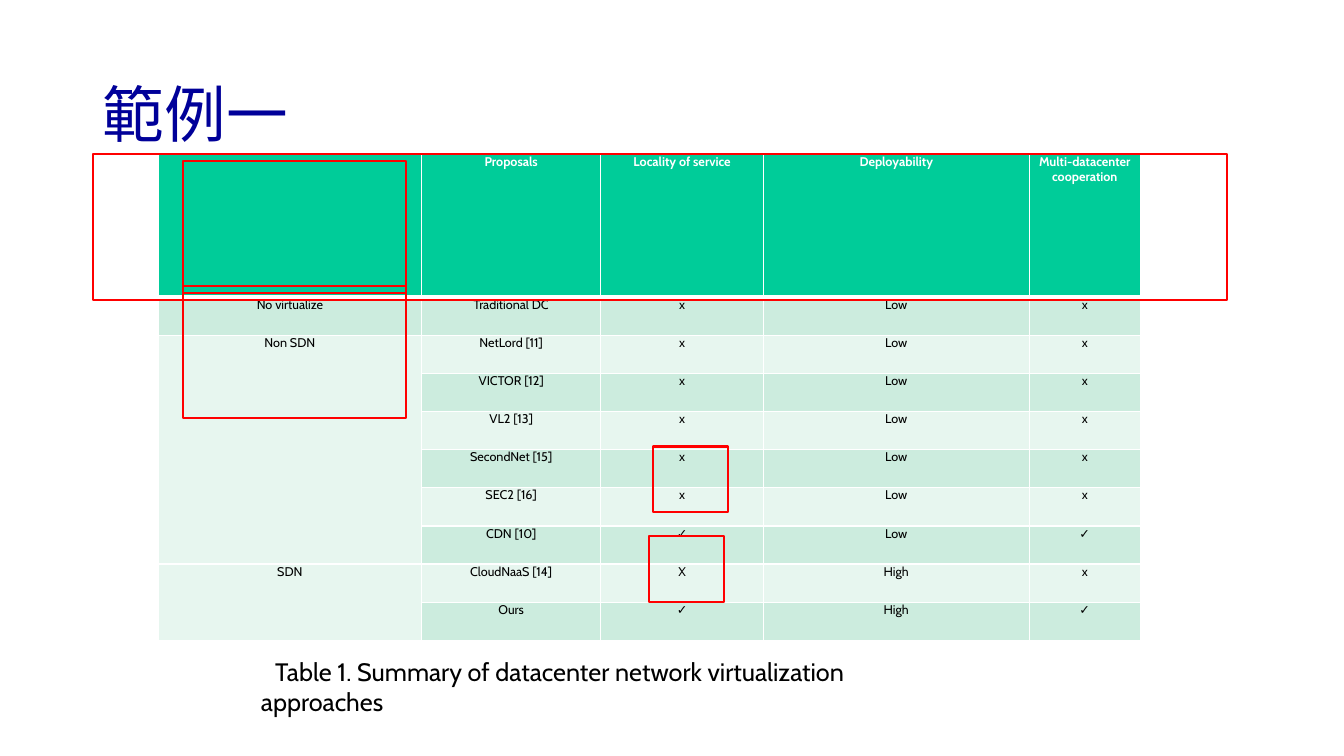
import pptx
import pptx.dml.color
import pptx.enum.shapes
import pptx.enum.text
import pptx.oxml
import pptx.oxml.ns
import pptx.util

RGBColor = pptx.dml.color.RGBColor
Align = pptx.enum.text.PP_ALIGN
Anchor = pptx.enum.text.MSO_ANCHOR

WHITE = RGBColor(0xFF, 0xFF, 0xFF)
BLACK = RGBColor(0x00, 0x00, 0x00)
NAVY = RGBColor(0x00, 0x00, 0x99)
RED = RGBColor(0xFF, 0x00, 0x00)
HEADER_GREEN = RGBColor(0x00, 0xCC, 0x99)
BAND_DARK = RGBColor(0xCC, 0xEC, 0xDE)
BAND_LIGHT = RGBColor(0xE7, 0xF6, 0xEF)

HEADINGS = ["", "Proposals", "Locality of service", "Deployability",
            "Multi-datacenter cooperation"]
PROPOSALS = [
    ("No virtualize", "Traditional DC", "x", "Low", "x"),
    ("Non SDN", "NetLord [11]", "x", "Low", "x"),
    ("", "VICTOR [12]", "x", "Low", "x"),
    ("", "VL2 [13]", "x", "Low", "x"),
    ("", "SecondNet [15]", "x", "Low", "x"),
    ("", "SEC2 [16]", "x", "Low", "x"),
    ("", "CDN [10]", "✓", "Low", "✓"),
    ("SDN", "CloudNaaS [14]", "X", "High", "x"),
    ("", "Ours", "✓", "High", "✓"),
]
GROUP_ROWS = [(2, 7), (8, 9)]
COLUMN_WIDTHS = [19.58, 13.35, 12.08, 19.8, 8.25]
HEADER_HEIGHT, ROW_HEIGHT = 18.93, 5.04

HIGHLIGHTS = [
    (6.9, 20.4, 84.4, 19.33),
    (48.31, 70.93, 5.55, 8.67),
    (48.61, 59.07, 5.55, 8.67),
    (13.65, 21.33, 16.58, 17.47),
    (13.65, 37.87, 16.58, 17.47),
]


class SlideBuilder:
    """Places elements on one slide; lengths are percentages of its size."""

    title_font = "Times New Roman"
    body_font = "Cabin"

    def __init__(self, deck):
        self.deck = deck
        self.page = deck.slides.add_slide(deck.slide_layouts[5])

    def across(self, share):
        return round(self.deck.slide_width * share / 100)

    def down(self, share):
        return round(self.deck.slide_height * share / 100)

    def area(self, left, top, width, height):
        return (self.across(left), self.down(top),
                self.across(width), self.down(height))

    def set_text(self, para, text, size, color, font, align=Align.LEFT, bold=False):
        para.text = text
        para.alignment = align
        para.font.size = pptx.util.Pt(size)
        para.font.name = font
        para.font.bold = bold
        para.font.color.rgb = color

    def title(self, text, *place):
        box = self.page.shapes.title
        box.left, box.top, box.width, box.height = self.area(*place)
        box.text_frame.vertical_anchor = Anchor.MIDDLE
        self.set_text(box.text_frame.paragraphs[0], text, 44, NAVY, self.title_font)

    def caption(self, text, *place):
        frame = self.page.shapes.add_textbox(*self.area(*place)).text_frame
        frame.word_wrap = True
        frame.auto_size = pptx.enum.text.MSO_AUTO_SIZE.SHAPE_TO_FIT_TEXT
        para = frame.paragraphs[0]
        para._p.get_or_add_pPr().set("indent", str(pptx.util.Inches(0.14)))
        self.set_text(para, text, 18, BLACK, self.body_font)

    def highlight(self, *place):
        box = self.page.shapes.add_shape(
            pptx.enum.shapes.MSO_SHAPE.RECTANGLE, *self.area(*place))
        box.shadow.inherit = False
        box.fill.background()
        box.line.color.rgb = RED
        box.line.width = pptx.util.Pt(1.5)

    def borders(self, cell, bottom):
        """Draw white cell edges, 1 pt wide except for the bottom one."""
        properties = cell._tc.get_or_add_tcPr()
        for position, (side, points) in enumerate(
                [("L", 1), ("R", 1), ("T", 1), ("B", bottom)]):
            properties.insert(position, pptx.oxml.parse_xml(
                f'<a:ln{side} {pptx.oxml.ns.nsdecls("a")} w="{pptx.util.Pt(points)}">'
                f'<a:solidFill><a:srgbClr val="{WHITE}"/></a:solidFill></a:ln{side}>'))

    def cell(self, cell, text, fill, color, header):
        cell.margin_left = cell.margin_right = pptx.util.Inches(0.07)
        cell.margin_top = cell.margin_bottom = 0
        cell.fill.solid()
        cell.fill.fore_color.rgb = fill
        self.borders(cell, 3 if header else 1)
        self.set_text(cell.text_frame.paragraphs[0], text, 9, color,
                      self.body_font, Align.CENTER, header)

    def table(self, left, top):
        rows = [HEADINGS, *PROPOSALS]
        heights = [HEADER_HEIGHT] + [ROW_HEIGHT] * len(PROPOSALS)
        table = self.page.shapes.add_table(
            len(rows), len(HEADINGS),
            *self.area(left, top, sum(COLUMN_WIDTHS), sum(heights))).table
        for column, width in zip(table.columns, COLUMN_WIDTHS):
            column.width = self.across(width)
        for row, height in zip(table.rows, heights):
            row.height = self.down(height)
        for r, texts in enumerate(rows):
            for c, text in enumerate(texts):
                header = r == 0
                grouped = c == 0 and r > 1
                band = BAND_LIGHT if grouped or r % 2 == 0 else BAND_DARK
                self.cell(table.cell(r, c), text, HEADER_GREEN if header else band,
                          WHITE if header else BLACK, header)
        for first, last in GROUP_ROWS:
            table.cell(first, 0).merge(table.cell(last, 0))


def main():
    deck = pptx.Presentation()
    deck.slide_width = pptx.util.Inches(13.33)
    deck.slide_height = pptx.util.Inches(7.5)
    builder = SlideBuilder(deck)
    builder.title("範例一", 6.9, 5.33, 86.27, 19.33)
    builder.caption("Table 1. Summary of datacenter network virtualization approaches",
                    18.68, 86.13, 53.34, 5.33)
    builder.table(11.78, 20.4)
    for place in HIGHLIGHTS:
        builder.highlight(*place)
    deck.save("out.pptx")


if __name__ == "__main__":
    main()
